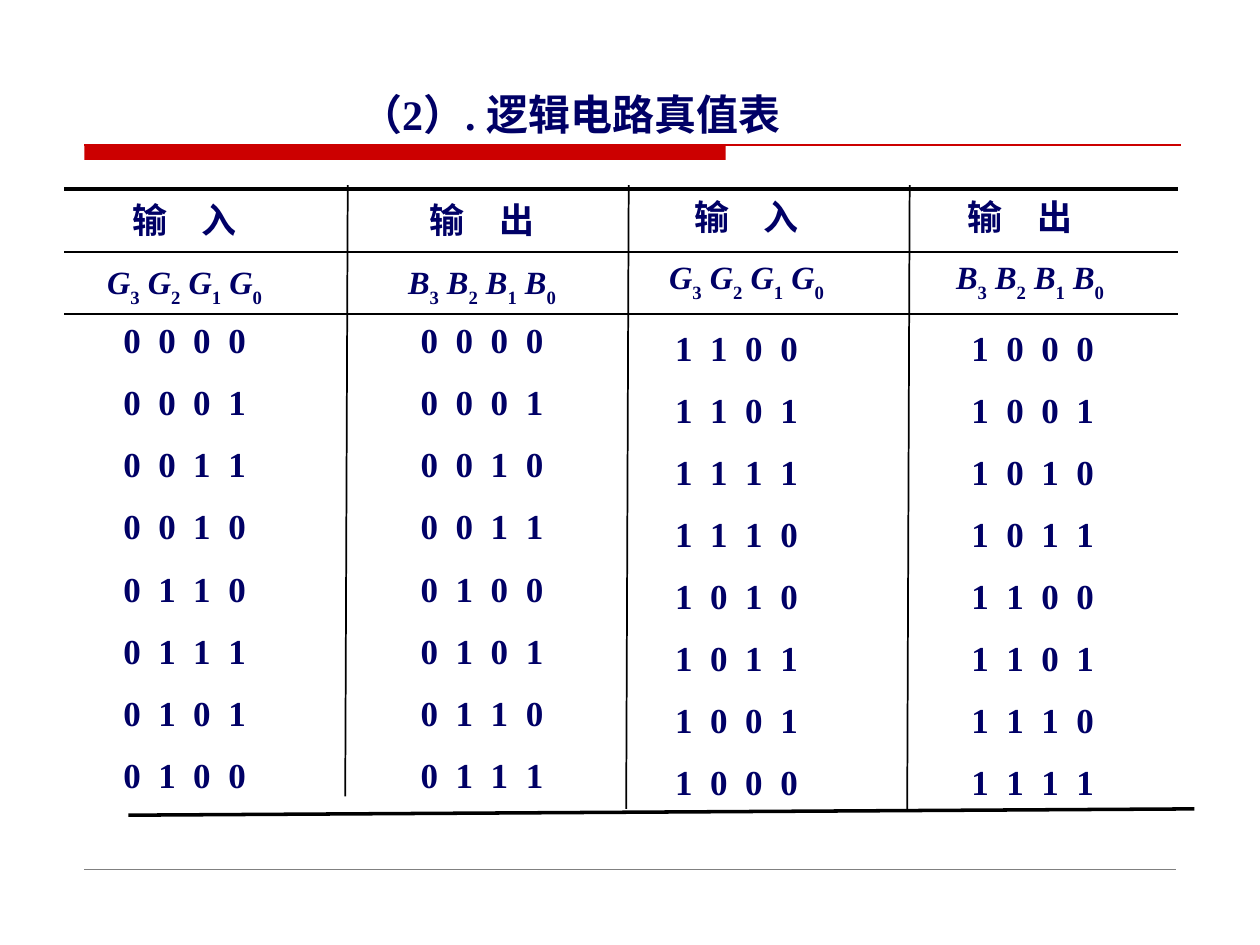
from lxml import etree
from pptx import Presentation
from pptx.dml.color import RGBColor
from pptx.enum.shapes import MSO_CONNECTOR, MSO_SHAPE
from pptx.enum.text import MSO_ANCHOR, MSO_AUTO_SIZE, PP_ALIGN
from pptx.oxml.ns import qn
from pptx.util import Inches, Pt

STRAIGHT = MSO_CONNECTOR.STRAIGHT
RECTANGLE = MSO_SHAPE.RECTANGLE
TOP, MIDDLE = MSO_ANCHOR.TOP, MSO_ANCHOR.MIDDLE
FIXED_SIZE = MSO_AUTO_SIZE.NONE
CENTER = PP_ALIGN.CENTER

COLORS = {"ink": "000066", "accent": "CC0000", "rule": "000000", "footer": "808080"}
FONT = "Times New Roman"
TITLE_ONLY = 5
ROW_HEIGHT = 0.49
ROW_PITCH = 0.493
INPUT_WIDTH, OUTPUT_WIDTH = 1.91, 2.81


def add_span(para, text, size=20, italic=False, spacing=0, baseline=0):
    span = para.add_run()
    span.text = text
    span.font.name = FONT
    span.font.size = Pt(size)
    span.font.bold = True
    span.font.italic = italic
    span.font.color.rgb = RGBColor.from_string(COLORS["ink"])
    properties = span._r.get_or_add_rPr()
    if spacing:
        properties.set("spc", str(int(spacing * 100)))
    if baseline:
        properties.set("baseline", str(baseline * 1000))


def add_line(page, start, end, width, color="rule"):
    line = page.shapes.add_connector(STRAIGHT, *map(Inches, start + end))
    line.line.width = Pt(width)
    line.line.color.rgb = RGBColor.from_string(COLORS[color])
    etree.SubElement(line._element.spPr, qn("a:effectLst"))


def add_cell(page, left, top, width):
    box = page.shapes.add_textbox(*map(Inches, (left, top, width, ROW_HEIGHT)))
    frame = box.text_frame
    frame.word_wrap = True
    frame.vertical_anchor = MIDDLE
    para = frame.paragraphs[0]
    para.alignment = CENTER
    return para


def add_spaced_cell(page, left, top, width, text, spacing):
    para = add_cell(page, left, top, width)
    add_span(para, text[:-1], spacing=spacing)
    add_span(para, text[-1])


def add_symbol_cell(page, left, top, width, letter):
    para = add_cell(page, left, top, width)
    para.line_spacing = 0.9
    for index in "3210":
        name = letter if index == "3" else " " + letter
        add_span(para, name, size=18.5, italic=True)
        add_span(para, index, size=18.5, baseline=-30)


def add_column(page, width, heading, letter, codes, heading_at, symbols_at, codes_at):
    add_spaced_cell(page, *heading_at, width, heading, spacing=7.5)
    add_symbol_cell(page, *symbols_at, width, letter)
    left, top = codes_at
    for row, code in enumerate(codes):
        digits = " ".join(f"{code:04b}")
        add_spaced_cell(page, left, top + row * ROW_PITCH, width, digits, spacing=2.5)


def add_half(page, numbers, input_places, output_places):
    gray_codes = [number ^ (number >> 1) for number in numbers]
    add_column(page, INPUT_WIDTH, "输 入", "G", gray_codes, *input_places)
    add_column(page, OUTPUT_WIDTH, "输 出", "B", numbers, *output_places)


def add_rules(page, left, right):
    for top, width in ((1.5, 2), (2, 1), (2.49, 1)):
        add_line(page, (left, top), (right, top), width)
    for x, bottom in ((2.76, 6.32), (4.99, 6.42), (7.22, 6.42)):
        add_line(page, (x, 1.47), (x - 0.02, bottom), 1)
    add_line(page, (1.02, 6.47), (9.48, 6.42), 2)


def add_title(page, left, top, width, height):
    title = page.shapes.title
    title.left, title.top, title.width, title.height = map(
        Inches, (left, top, width, height))
    frame = title.text_frame
    frame.word_wrap = True
    frame.auto_size = FIXED_SIZE
    frame.vertical_anchor = TOP
    para = frame.paragraphs[0]
    para.alignment = CENTER
    para.line_spacing = 2.0
    add_span(para, "（2）. 逻辑电路真值表", size=24)


def add_decoration(page, left, top, width):
    bar = page.shapes.add_shape(RECTANGLE, *map(Inches, (left, top, 5.09, 0.12)))
    bar.shadow.inherit = False
    bar.fill.solid()
    bar.fill.fore_color.rgb = RGBColor.from_string(COLORS["accent"])
    bar.line.fill.background()
    add_line(page, (left, top), (left + width, top), 0.75, "accent")
    add_line(page, (left, 6.9), (9.33, 6.9), 0.25, "footer")


def main():
    deck = Presentation()
    deck.slide_width, deck.slide_height = Inches(10), Inches(7.5)
    page = deck.slides.add_slide(deck.slide_layouts[TITLE_ONLY])
    add_decoration(page, 0.67, 1.15, 8.7)
    add_half(page, range(8),
             ((0.51, 1.5), (0.51, 2), (0.51, 2.45)),
             ((2.42, 1.5), (2.42, 2), (2.42, 2.45)))
    add_half(page, range(8, 16),
             ((4.97, 1.47), (4.97, 1.96), (4.89, 2.51)),
             ((6.69, 1.47), (6.77, 1.96), (6.79, 2.51)))
    add_rules(page, 0.51, 9.35)
    add_title(page, 2.4, 0.25, 4.25, 0.9)
    deck.save("out.pptx")


if __name__ == "__main__":
    main()
